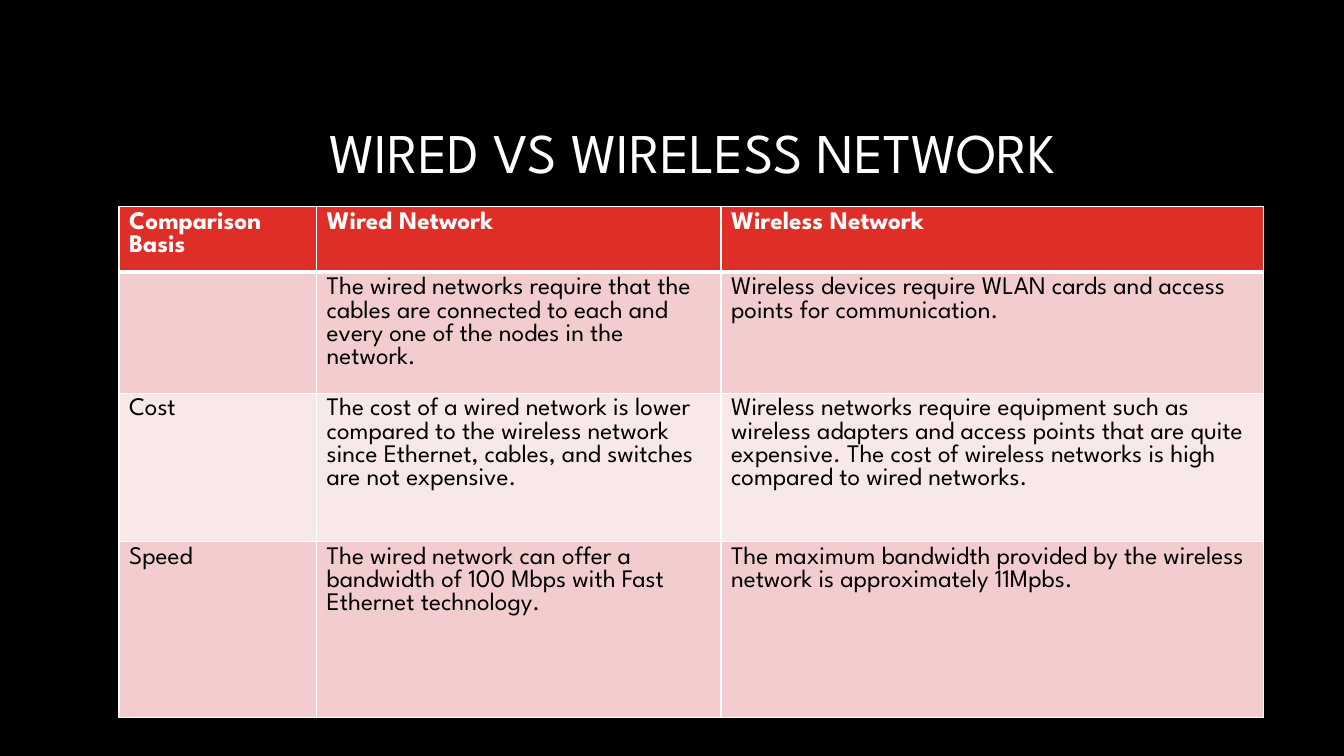
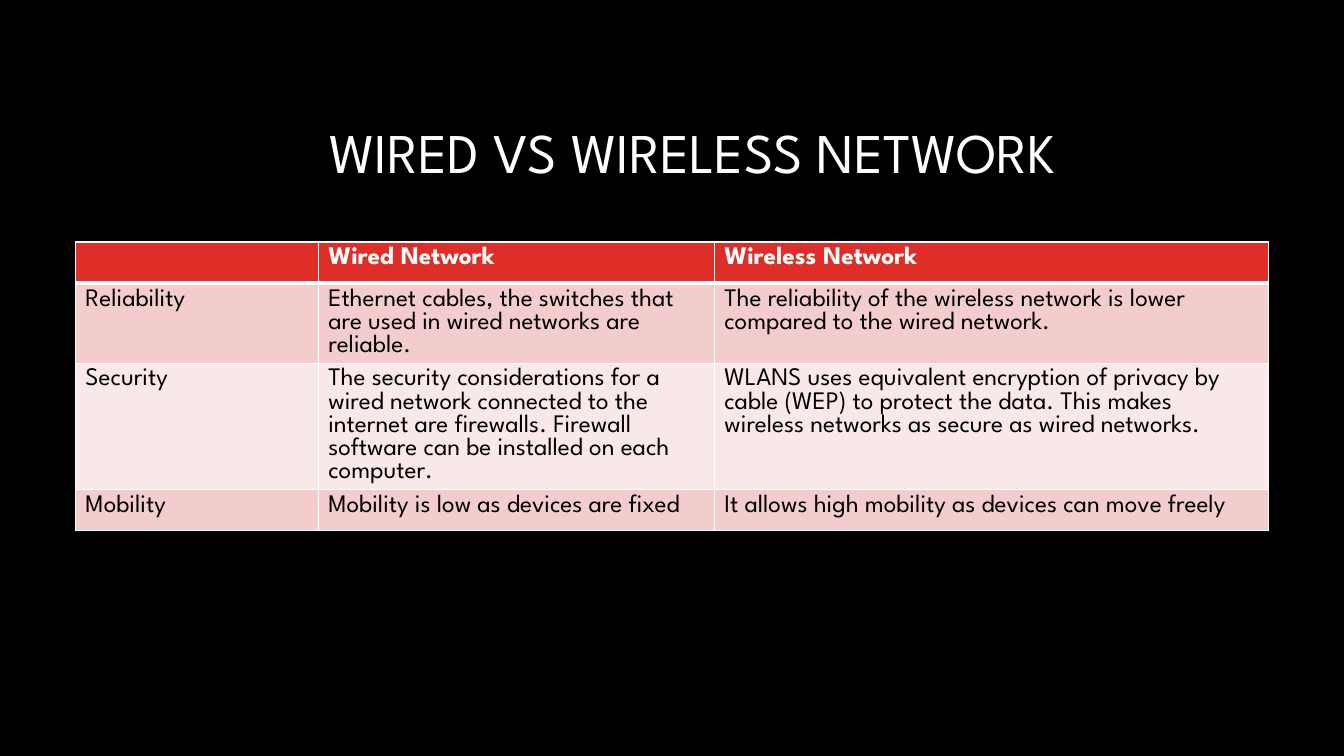
import dataclasses

import lxml.etree
import pptx
import pptx.dml.color
import pptx.enum.text
import pptx.oxml.ns
import pptx.util

Cm = pptx.util.Cm
Pt = pptx.util.Pt

# Shared style
FONT = "League Spartan"
BLACK, WHITE = "000000", "FFFFFF"
HEADER_FILL = "DF2E28"
BAND_FILLS = ("F3CDCD", "F9E8E8")
THIN, THICK = 1, 3
TITLE = "WIRED VS WIRELESS NETWORK"
TITLE_BOX = {"left": Cm(8.05), "top": Cm(2.13), "width": Cm(23.93), "height": Cm(3.58)}
TITLE_FONT = {"name": FONT, "size": Pt(40), "bold": False}
HEADER_FONT = {"name": FONT, "size": Pt(18), "bold": True}
BODY_FONT = HEADER_FONT | {"bold": False}


@dataclasses.dataclass(frozen=True)
class Comparison:
    """A table of wired against wireless; lengths in centimetres."""
    left: float
    top: float
    col_widths: tuple[float, ...]
    row_heights: tuple[float, ...]
    rows: tuple[tuple[str, str, str], ...]


COMPARISONS = (
    Comparison(3, 5.21, (4.98, 10.19, 13.67), (1.65, 3.05, 3.73, 4.45), (
        ("Comparison Basis", "Wired Network", "Wireless Network"),
        ("",
         "The wired networks require that the cables are connected to each and "
         "every one of the nodes in the network.",
         "Wireless devices require WLAN cards and access points for communication."),
        ("Cost",
         "The cost of a wired network is lower compared to the wireless network "
         "since Ethernet, cables, and switches are not expensive.",
         "Wireless networks require equipment such as wireless adapters and access "
         "points that are quite expensive. The cost of wireless networks is high "
         "compared to wired networks."),
        ("Speed",
         "The wired network can offer a bandwidth of 100 Mbps with Fast Ethernet "
         "technology.",
         "The maximum bandwidth provided by the wireless network is approximately "
         "11Mpbs."),
    )),
    Comparison(1.9, 6.1, (6.12, 9.98, 13.97), (1.04, 2, 3.18, 1.04), (
        ("", "Wired Network", "Wireless Network"),
        ("Reliability",
         "Ethernet cables, the switches that are used in wired networks are reliable.",
         "The reliability of the wireless network is lower compared to the wired "
         "network."),
        ("Security",
         "The security considerations for a wired network connected to the internet "
         "are firewalls. Firewall software can be installed on each computer.",
         "WLANS uses equivalent encryption of privacy by cable (WEP) to protect the "
         "data. This makes wireless networks as secure as wired networks."),
        ("Mobility",
         "Mobility is low as devices are fixed",
         "It allows high mobility as devices can move freely"),
    )),
)


def rgb(color: str) -> pptx.dml.color.RGBColor:
    return pptx.dml.color.RGBColor.from_string(color)


def set_attrs(target, values: dict) -> None:
    for name, value in values.items():
        setattr(target, name, value)


def set_fill(fill, color: str) -> None:
    fill.solid()
    fill.fore_color.rgb = rgb(color)


def write(p, text: str, font: dict, color: str) -> None:
    r = p.add_run()
    r.text = text
    set_attrs(r.font, font)
    r.font.color.rgb = rgb(color)


def set_borders(cell, widths: dict[str, int], color: str = WHITE) -> None:
    """Put border lines, in schema order, ahead of the cell's fill."""
    qn = pptx.oxml.ns.qn
    props = cell._tc.get_or_add_tcPr()
    for i, (side, width) in enumerate(widths.items()):
        ln = lxml.etree.Element(qn(f"a:ln{side}"), w=str(Pt(width)))
        fill = lxml.etree.SubElement(ln, qn("a:solidFill"))
        lxml.etree.SubElement(fill, qn("a:srgbClr"), val=color)
        props.insert(i, ln)


def add_title(slide) -> None:
    sp = slide.shapes.title
    set_attrs(sp, TITLE_BOX)
    tf = sp.text_frame
    set_attrs(tf, {"word_wrap": True,
                   "vertical_anchor": pptx.enum.text.MSO_ANCHOR.MIDDLE})
    p = tf.paragraphs[0]
    set_attrs(p, {"alignment": pptx.enum.text.PP_ALIGN.LEFT, "line_spacing": 0.9})
    write(p, TITLE, TITLE_FONT, WHITE)


def add_comparison(slide, spec: Comparison) -> None:
    table = slide.shapes.add_table(
        len(spec.rows), len(spec.col_widths), Cm(spec.left), Cm(spec.top),
        Cm(sum(spec.col_widths)), Cm(sum(spec.row_heights))).table
    for column, width in zip(table.columns, spec.col_widths):
        column.width = Cm(width)
    for row, height in zip(table.rows, spec.row_heights):
        row.height = Cm(height)

    for i, texts in enumerate(spec.rows):
        header = i == 0
        fill = HEADER_FILL if header else BAND_FILLS[(i - 1) % 2]
        # The thick rule lies between the header and the first body row
        widths = {"L": THIN, "R": THIN, "T": THICK if i == 1 else THIN,
                  "B": THICK if header else THIN}
        for j, text in enumerate(texts):
            cell = table.cell(i, j)
            set_fill(cell.fill, fill)
            set_borders(cell, widths)
            if text:
                write(cell.text_frame.paragraphs[0], text,
                      HEADER_FONT if header else BODY_FONT,
                      WHITE if header else BLACK)


def main() -> None:
    prs = pptx.Presentation()
    set_attrs(prs, {"slide_width": Cm(33.87), "slide_height": Cm(19.05)})
    set_fill(prs.slide_master.background.fill, BLACK)
    title_only = prs.slide_layouts.get_by_name("Title Only")
    for spec in COMPARISONS:
        slide = prs.slides.add_slide(title_only)
        add_title(slide)
        add_comparison(slide, spec)
    prs.save("out.pptx")


if __name__ == "__main__":
    main()
